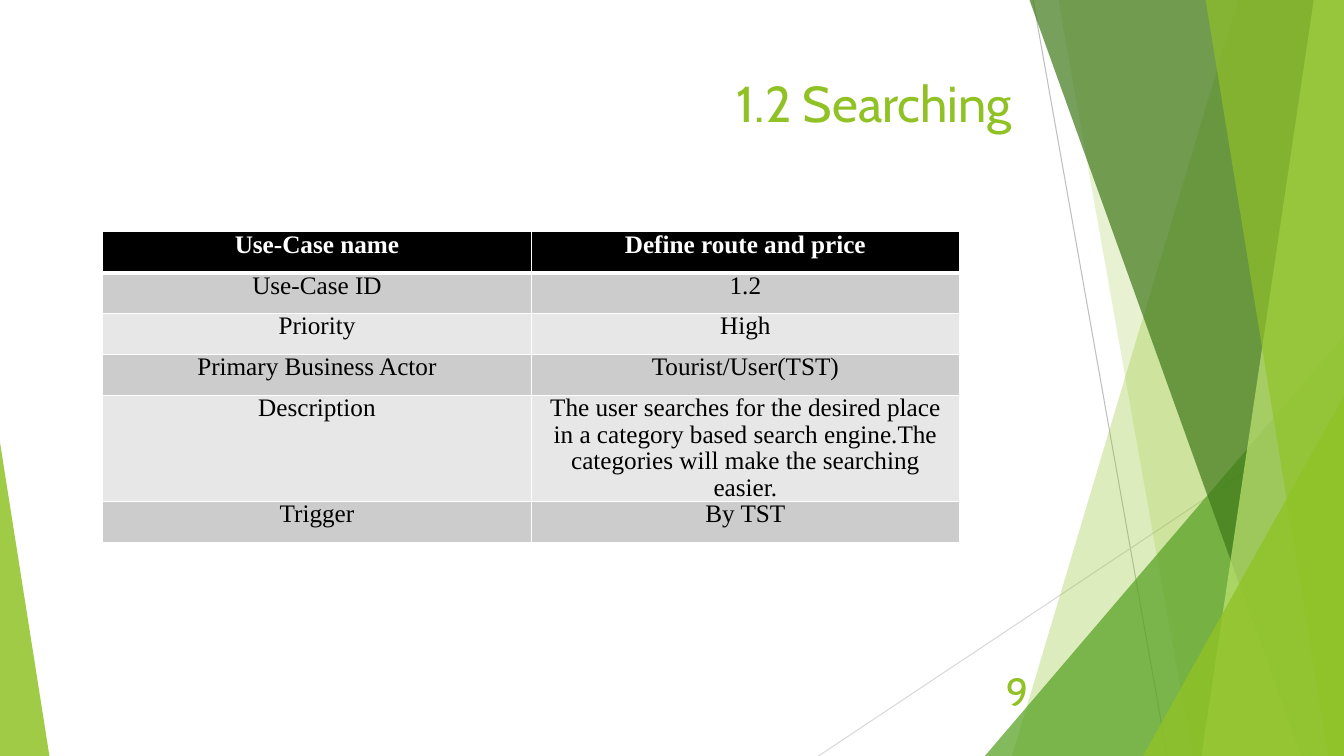
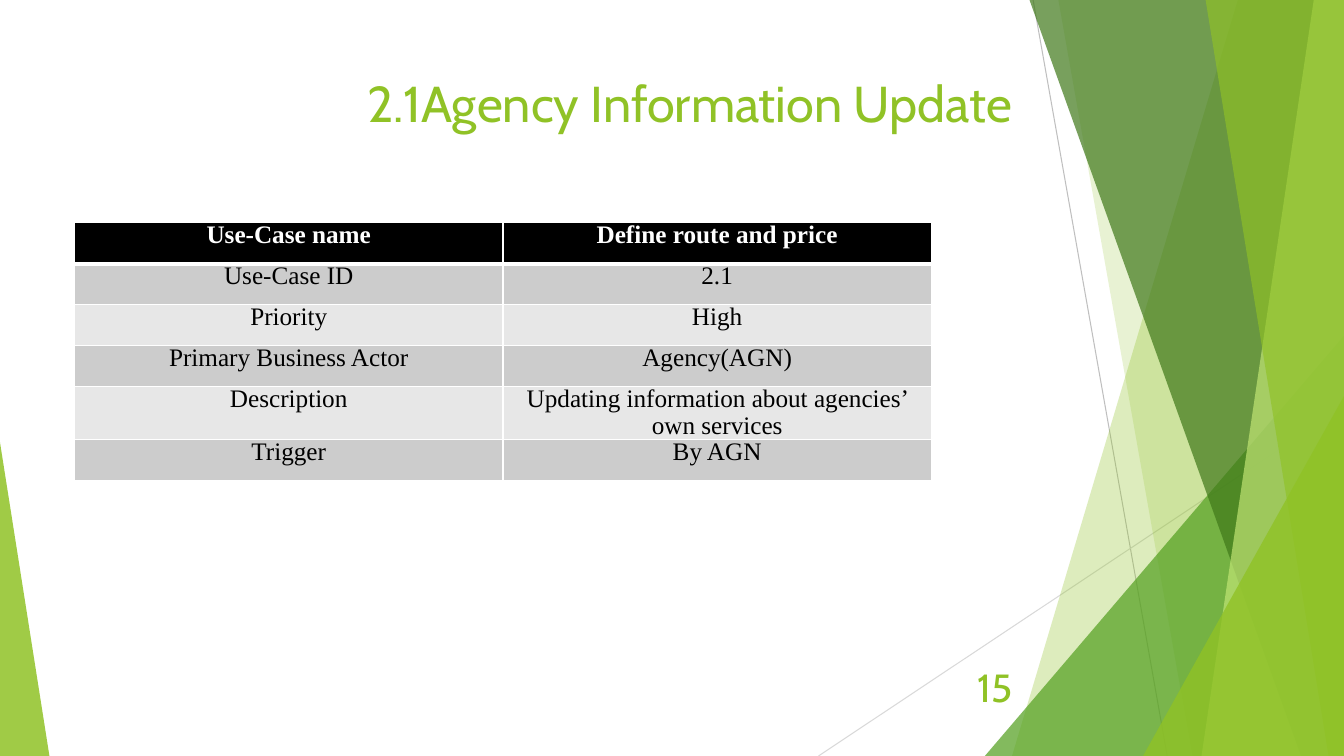
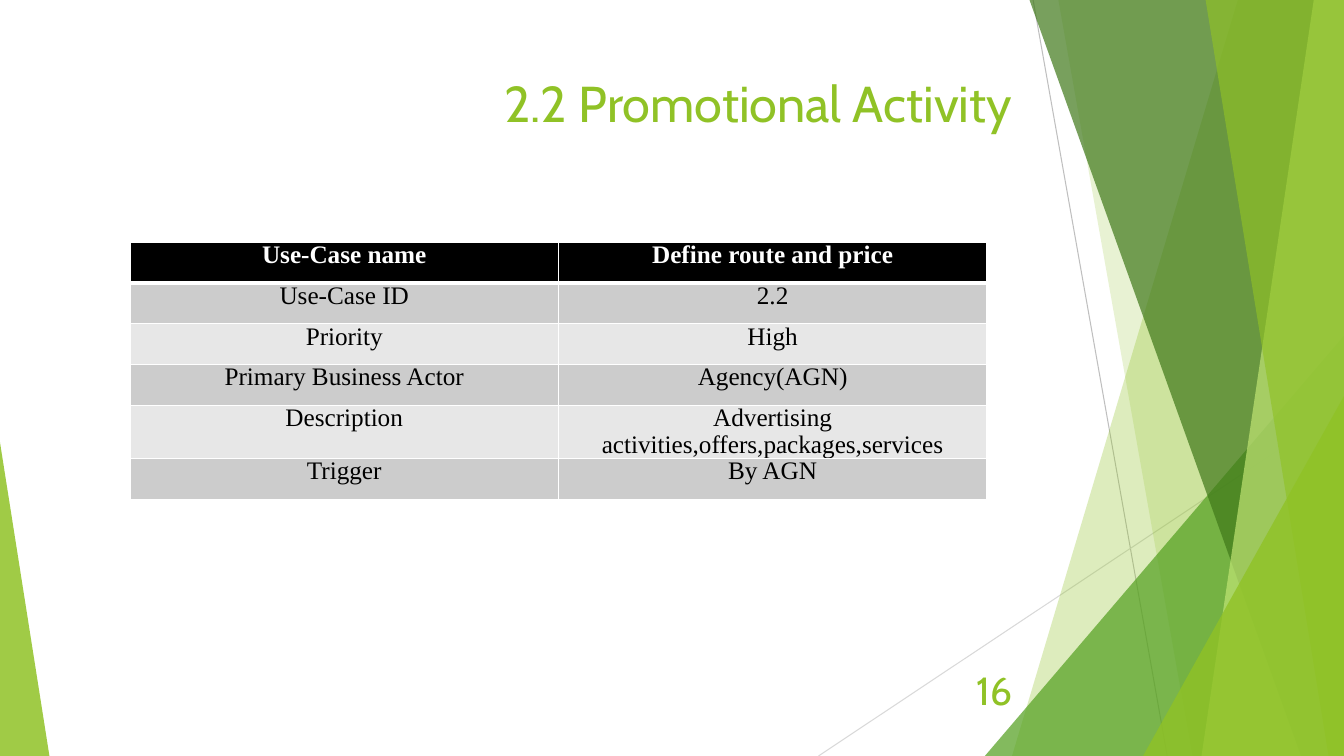
from dataclasses import dataclass

from lxml import etree
from pptx import Presentation, util as u
from pptx.dml.color import RGBColor
from pptx.enum import shapes, text
from pptx.oxml import ns


@dataclass(frozen=True)
class Theme:
    # Colours
    lime: str = "90C226"
    green: str = "54A021"
    forest: str = "3F7819"
    pale: str = "C0E474"
    ink: str = "000000"
    paper: str = "FFFFFF"
    odd: str = "CCCCCC"
    even: str = "E7E7E7"
    rule: str = "BFBFBF"
    faint: str = "D9D9D9"
    # Fonts and sizes in points
    head: str = "Cabin"
    body: str = "Times New Roman"
    title: int = 36
    cell: int = 18
    page: int = 28
    hair: float = 0.75
    thin: int = 1
    thick: int = 3


class Deck:
    """Holds the style and current slide; lengths are percent of the slide."""

    def __init__(self, theme):
        self.theme = theme
        self.prs = Presentation()
        self.prs.slide_width = u.Inches(13.33)
        self.prs.slide_height = u.Inches(7.5)
        self.layout = self.prs.slide_layouts[5]
        self.slide = None
        # Only the title is kept on the layout
        title, *rest = self.layout.placeholders
        for ph in rest:
            self.layout.shapes.element.remove(ph.element)
        title.left, title.top, title.width, title.height = self.box(5.55, 8.93, 70.5, 19.2)

    def x(self, share):
        return u.Emu(round(self.prs.slide_width * share / 100))

    def y(self, share):
        return u.Emu(round(self.prs.slide_height * share / 100))

    def box(self, left, top, width, height):
        return self.x(left), self.y(top), self.x(width), self.y(height)

    def add(self):
        self.slide = self.prs.slides.add_slide(self.layout)

    def share(self):
        """Move all drawn shapes of the current slide to the layout."""
        for shape in list(self.slide.shapes):
            if not shape.is_placeholder:
                self.layout.shapes.element.append(shape.element)

    def label(self, frame, words, font, size, color, align, bold=False):
        frame.text = words
        para = frame.paragraphs[0]
        para.alignment = align
        for run in para.runs:
            run.font.name, run.font.size, run.font.bold = font, u.Pt(size), bold
            run.font.color.rgb = RGBColor.from_string(color)
        return para

    def paint(self, shape, color, alpha):
        shape.shadow.inherit = False
        shape.line.fill.background()
        shape.fill.solid()
        shape.fill.fore_color.rgb = RGBColor.from_string(color)
        tone = shape.element.spPr.find(ns.qn("a:solidFill"))[0]
        etree.SubElement(tone, ns.qn("a:alpha")).set("val", str(alpha * 1000))

    def line(self, x1, y1, x2, y2, color):
        rule = self.slide.shapes.add_connector(
            shapes.MSO_CONNECTOR.STRAIGHT, self.x(x1), self.y(y1), self.x(x2), self.y(y2))
        rule.line.color.rgb = RGBColor.from_string(color)
        rule.line.width = u.Pt(self.theme.hair)
        etree.SubElement(rule.element.spPr, ns.qn("a:effectLst"))

    def band(self, top, foot, color, alpha):
        """Full-height band from a slanted left edge to the slide's right."""
        pen = self.slide.shapes.build_freeform(self.x(top), 0)
        pen.add_line_segments(
            [(self.x(px), self.y(py)) for px, py in ((100, 0), (100, 100), (foot, 100))])
        self.paint(pen.convert_to_shape(), color, alpha)

    def wedge(self, left, right, top, apex, color, alpha):
        """Triangle on the bottom edge; apex 0 is left, 1 is right."""
        shape = self.slide.shapes.add_shape(
            shapes.MSO_SHAPE.ISOSCELES_TRIANGLE,
            *self.box(left, top, right - left, 100 - top))
        shape.adjustments[0] = apex
        self.paint(shape, color, alpha)

    def title(self, words):
        frame = self.slide.shapes.title.text_frame
        t = self.theme
        self.label(frame, words, t.head, t.title, t.lime, text.PP_ALIGN.RIGHT)
        frame.vertical_anchor = text.MSO_ANCHOR.TOP
        frame.auto_size = text.MSO_AUTO_SIZE.NONE

    def page(self, number, left, top, width, height):
        frame = self.slide.shapes.add_textbox(*self.box(left, top, width, height)).text_frame
        t = self.theme
        self.label(frame, number, t.head, t.page, t.lime, text.PP_ALIGN.RIGHT)
        frame.word_wrap = True
        frame.vertical_anchor = text.MSO_ANCHOR.MIDDLE

    def edges(self, cell, row):
        t = self.theme
        props = cell._tc.get_or_add_tcPr()
        wide = {"lnT": row == 1, "lnB": row == 0}
        for side in ("lnL", "lnR", "lnT", "lnB"):
            size = t.thick if wide.get(side) else t.thin
            edge = etree.SubElement(props, ns.qn(f"a:{side}"), w=str(int(u.Pt(size))))
            fill = etree.SubElement(edge, ns.qn("a:solidFill"))
            etree.SubElement(fill, ns.qn("a:srgbClr"), val=t.paper)

    def table(self, rows, left, top):
        t = self.theme
        grid = self.slide.shapes.add_table(
            len(rows), 2, *self.box(left, top, 63.75, 5.42 * len(rows))).table
        grid.horz_banding = False
        for r, row in enumerate(rows):
            for c, words in enumerate(row):
                cell = grid.cell(r, c)
                self.edges(cell, r)
                back = t.ink if r == 0 else t.odd if r % 2 else t.even
                cell.fill.solid()
                cell.fill.fore_color.rgb = RGBColor.from_string(back)
                cell.margin_left = cell.margin_right = u.Inches(0.07)
                cell.margin_top = cell.margin_bottom = 0
                para = self.label(cell.text_frame, words, t.body, t.cell,
                                  t.ink if r else t.paper,
                                  text.PP_ALIGN.CENTER, bold=r == 0)
                para.line_spacing = 0.95

    def decor(self):
        t = self.theme
        self.line(76.87, 0, 86.85, 100, t.rule)
        self.line(100, 53.73, 60.9, 100, t.faint)
        self.band(92.1, 75.3, t.lime, 30)
        self.band(78.75, 88.72, t.lime, 20)
        self.wedge(73.28, 100, 44.4, 1, t.green, 72)
        self.band(76.6, 96.8, t.forest, 70)
        self.band(97.75, 89.4, t.pale, 70)
        self.band(89.7, 98.85, t.lime, 65)
        self.wedge(85.05, 100, 52.4, 1, t.lime, 80)
        self.wedge(0, 3.68, 58.5, 0, t.lime, 85)
        self.share()


LABELS = ("Use-Case name", "Use-Case ID", "Priority", "Primary Business Actor",
          "Description", "Trigger")

# Title, table corner, page number and its box, then ID, actor, description, trigger
CASES = (
    ("1.2 Searching", (7.65, 30.67), "9", (71.03, 88.13, 6.22, 6.4),
     "1.2", "Tourist/User(TST)",
     "The user searches for the desired place in a category based search engine."
     "The categories will make the searching easier.", "By TST"),
    ("2.1Agency Information Update", (5.55, 29.47), "15", (70.43, 88.13, 5.62, 5.33),
     "2.1", "Agency(AGN)",
     "Updating information about agencies’ own services", "By AGN"),
    ("2.2 Promotional Activity", (9.68, 32), "16", (70.43, 88.53, 5.62, 5.33),
     "2.2", "Agency(AGN)",
     "Advertising activities,offers,packages,services", "By AGN"),
)


def main():
    deck = Deck(Theme())
    for n, (title, spot, number, place, code, actor, about, cause) in enumerate(CASES):
        deck.add()
        if n == 0:
            deck.decor()
        deck.title(title)
        values = ("Define route and price", code, "High", actor, about, cause)
        deck.table(list(zip(LABELS, values)), *spot)
        deck.page(number, *place)
    deck.prs.save("out.pptx")


if __name__ == "__main__":
    main()
